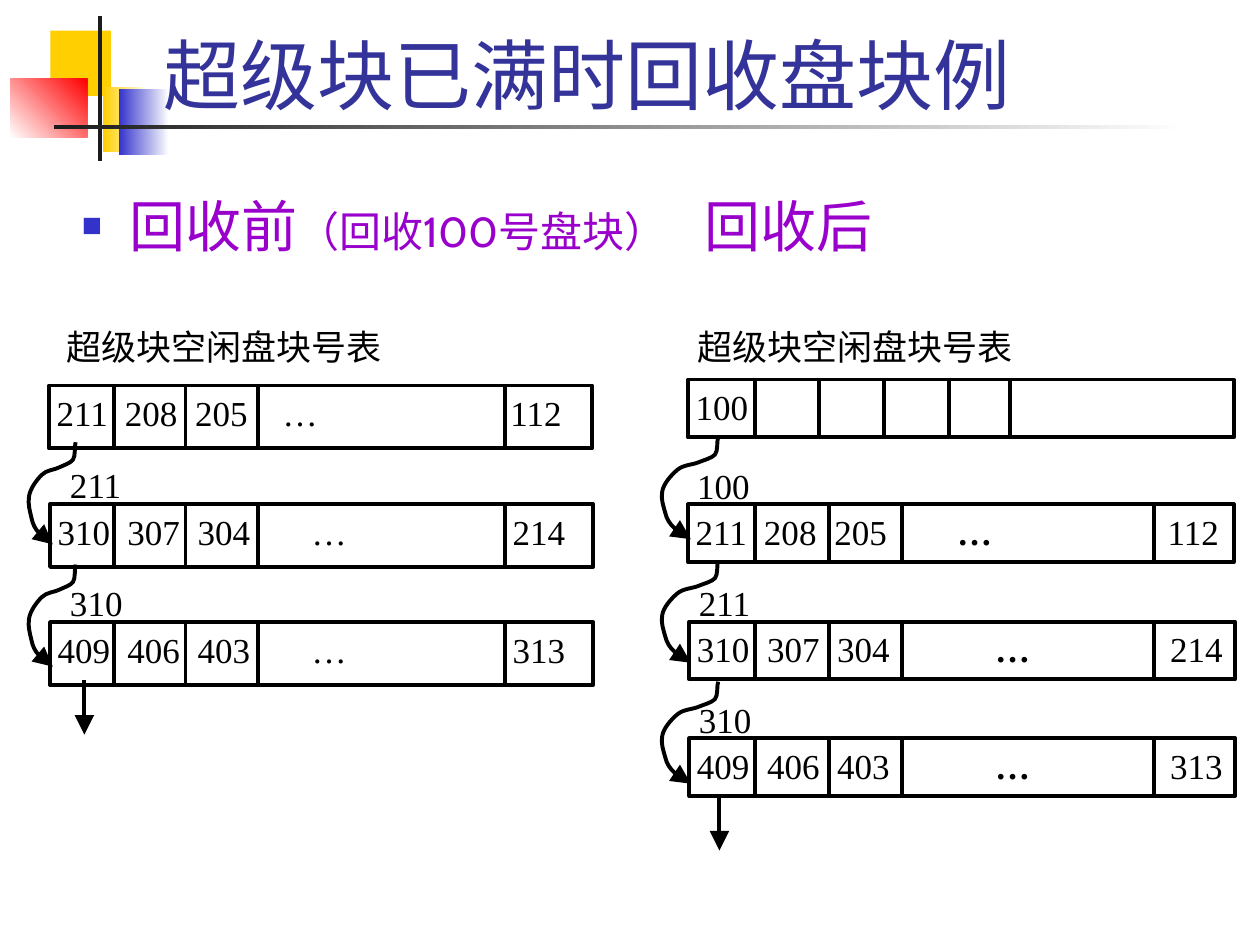
"""Build a slide showing free-block tables before and after a block is reclaimed."""
from dataclasses import dataclass

from lxml import etree
from pptx import Presentation
from pptx.dml.color import RGBColor
from pptx.enum.shapes import MSO_CONNECTOR, MSO_SHAPE
from pptx.enum.text import MSO_ANCHOR, MSO_AUTO_SIZE, PP_ALIGN
from pptx.oxml.ns import qn
from pptx.util import Pt

RECTANGLE = MSO_SHAPE.RECTANGLE
STRAIGHT = MSO_CONNECTOR.STRAIGHT
JUSTIFY = PP_ALIGN.JUSTIFY
LEFT = PP_ALIGN.LEFT
TOP = MSO_ANCHOR.TOP
BOTTOM = MSO_ANCHOR.BOTTOM
NO_AUTOFIT = MSO_AUTO_SIZE.NONE

BLACK = RGBColor(0x00, 0x00, 0x00)
WHITE = RGBColor(0xFF, 0xFF, 0xFF)
YELLOW = RGBColor(0xFF, 0xCF, 0x01)
BLUE = RGBColor(0x33, 0x33, 0xCC)
RED = RGBColor(0xFF, 0x00, 0x00)
CHARCOAL = RGBColor(0x1C, 0x1C, 0x1C)
NAVY = RGBColor(0x33, 0x33, 0x99)
PURPLE = RGBColor(0x99, 0x00, 0xCC)

SERIF = "Times New Roman"
SANS = "Cabin"
LINE_WIDTH = 2.25
ROW_INSET = 4.3
HOOK = (
    (-0.7, 2), (0, 8), (-1.5, 10),
    (-3, 12), (-6.5, 13), (-9.4, 14.4),
    (-12, 15.8), (-16.6, 15.8), (-19.4, 18.7),
    (-22.3, 21.6), (-26, 26.6), (-26.6, 31),
    (-27.4, 35.3), (-26, 39.6), (-25.2, 43.2),
    (-24.5, 46.8), (-23, 49.7), (-20.9, 51.8),
    (-19.4, 54.7), (-14.4, 57.6), (-13, 58.3),
)


@dataclass(frozen=True)
class Decoration:
    left: float
    top: float
    width: float
    height: float
    start: RGBColor
    end: RGBColor | None = None
    angle: float = 0


@dataclass(frozen=True)
class BlockRow:
    left: float
    top: float
    cells: str
    stops: tuple = ()
    dividers: tuple = ()
    width: float = 310.3
    height: float = 36
    bold_dots: bool = False


@dataclass(frozen=True)
class Label:
    left: float
    top: float
    text: str
    width: float = 34


DECORATIONS = (
    Decoration(28.8, 17.5, 34.6, 37.4, YELLOW),
    Decoration(59, 49.7, 26, 37.4, YELLOW, WHITE),
    Decoration(67.8, 51, 28.8, 37.4, BLUE, WHITE),
    Decoration(5.8, 45, 44, 33.5, WHITE, RED, 45),
    Decoration(56, 9.2, 2.3, 82.8, CHARCOAL),
    Decoration(31, 71.4, 648, 2.3, CHARCOAL, WHITE),
)
BEFORE_DIVIDERS = (65.3, 106, 147.6, 288.6)
AFTER_DIVIDERS = (431.3, 473.8, 515.5, 659.5)
BEFORE_STOPS = (72.8, 112.9, 178, 292.9)
AFTER_STOPS = (438.4, 478.4, 568.6, 668.6)
AFTER = {"width": 311.8, "height": 33.1, "bold_dots": True}
ROWS = (
    BlockRow(28, 220.3, "211 208 205 … 112", (71.4, 111.5, 161.5, 291.7), BEFORE_DIVIDERS),
    BlockRow(28.6, 288, "310 307 304 … 214", BEFORE_STOPS, BEFORE_DIVIDERS),
    BlockRow(28.6, 355.5, "409 406 403 … 313", BEFORE_STOPS, BEFORE_DIVIDERS),
    BlockRow(393.2, 216.9, "100", (), (431.3, 468, 505.4, 542.2, 577.4), **AFTER),
    BlockRow(393.2, 288.2, "211 208 205 … 112", (436.6, 476.8, 547, 667.3), AFTER_DIVIDERS, **AFTER),
    BlockRow(394, 355.2, "310 307 304 … 214", AFTER_STOPS, AFTER_DIVIDERS, **AFTER),
    BlockRow(394, 421.8, "409 406 403 … 313", AFTER_STOPS, AFTER_DIVIDERS, **AFTER),
)
LABELS = (
    Label(37.9, 186, "超级块空闲盘块号表", 230),
    Label(398.4, 186, "超级块空闲盘块号表", 230),
    Label(40, 265, "211"),
    Label(40, 332.4, "310"),
    Label(398.4, 265.4, "100"),
    Label(399.4, 332.2, "211"),
    Label(399.4, 399, "310"),
)
HOOKS = (
    (43.2, 252.7, 1), (43.2, 322.6, 1),
    (410.4, 249.8, 1.2), (410.4, 320.4, 1.2), (410.4, 389.5, 1.2),
)
DOWN_ARROWS = ((48.2, 388.8), (411.1, 455))


def add_run(paragraph, text, *, size=20, font=SERIF, color=BLACK, bold=False, spacing=None) -> None:
    run = paragraph.add_run()
    run.text = text
    run.font.size = Pt(size)
    run.font.name = font
    run.font.color.rgb = color
    run.font.bold = bold
    if spacing is not None:
        run.font._element.set("spc", str(round(spacing * 100)))


def place(shape, left: float, top: float, width: float, height: float) -> None:
    shape.left, shape.top, shape.width, shape.height = map(Pt, (left, top, width, height))


def set_margins(frame, horizontal: float, vertical: float) -> None:
    frame.margin_left = frame.margin_right = Pt(horizontal)
    frame.margin_top = frame.margin_bottom = Pt(vertical)


def style_line(shape, arrow: bool = False) -> None:
    shape.line.color.rgb = BLACK
    shape.line.width = Pt(LINE_WIDTH)
    if arrow:
        line = shape.line._get_or_add_ln()
        etree.SubElement(line, qn("a:tailEnd"), type="triangle", w="lg", len="lg")


def add_line(slide, x: float, top: float, bottom: float, arrow: bool = False) -> None:
    connector = slide.shapes.add_connector(STRAIGHT, Pt(x), Pt(top), Pt(x), Pt(bottom))
    style_line(connector, arrow)
    etree.SubElement(connector._element.spPr, qn("a:effectLst"))


def add_rectangle(slide, left: float, top: float, width: float, height: float):
    shape = slide.shapes.add_shape(RECTANGLE, Pt(left), Pt(top), Pt(width), Pt(height))
    shape.shadow.inherit = False
    return shape


def draw_decoration(slide, item: Decoration) -> None:
    shape = add_rectangle(slide, item.left, item.top, item.width, item.height)
    shape.line.fill.background()
    if item.end is None:
        shape.fill.solid()
        shape.fill.fore_color.rgb = item.start
        return
    shape.fill.gradient()
    shape.fill.gradient_angle = item.angle
    for stop, color in zip(shape.fill.gradient_stops, (item.start, item.end)):
        stop.color.rgb = color


def draw_row(slide, row: BlockRow) -> None:
    shape = add_rectangle(slide, row.left, row.top, row.width, row.height)
    shape.fill.solid()
    shape.fill.fore_color.rgb = WHITE
    style_line(shape)
    frame = shape.text_frame
    frame.vertical_anchor = TOP
    set_margins(frame, ROW_INSET, 3.6)
    paragraph = frame.paragraphs[0]
    paragraph.alignment = JUSTIFY
    if row.stops:
        tabs = etree.SubElement(paragraph._p.get_or_add_pPr(), qn("a:tabLst"))
        for stop in row.stops:
            position = Pt(stop - row.left - ROW_INSET)
            etree.SubElement(tabs, qn("a:tab"), pos=str(int(position)), algn="l")
    for index, cell in enumerate(row.cells.split()):
        text = f"\t{cell}" if index else cell
        add_run(paragraph, text, bold=row.bold_dots and cell == "…")
    for x in row.dividers:
        add_line(slide, x, row.top, row.top + row.height)


def draw_label(slide, label: Label) -> None:
    box = slide.shapes.add_textbox(Pt(label.left), Pt(label.top), Pt(label.width), Pt(18))
    frame = box.text_frame
    frame.word_wrap = True
    set_margins(frame, 0, 0)
    frame.paragraphs[0].alignment = JUSTIFY
    add_run(frame.paragraphs[0], label.text)


def draw_hook(slide, x: float, y: float, stretch: float) -> None:
    builder = slide.shapes.build_freeform(Pt(x), Pt(y))
    builder.add_line_segments([(Pt(x + dx * stretch), Pt(y + dy)) for dx, dy in HOOK], close=False)
    shape = builder.convert_to_shape()
    segments = list(shape._element.iter(qn("a:lnTo")))
    outline = segments[0].getparent()
    for first in range(0, len(segments), 3):
        curve = etree.SubElement(outline, qn("a:cubicBezTo"))
        for segment in segments[first:first + 3]:
            curve.append(segment[0])
            outline.remove(segment)
    shape.shadow.inherit = False
    shape.fill.background()
    style_line(shape, arrow=True)


def fill_placeholders(title, body) -> None:
    place(title, 86.4, 12.2, 613.4, 59.8)
    title.text_frame.vertical_anchor = BOTTOM
    place(body, 39.6, 105.8, 612, 48.2)
    for shape in (title, body):
        shape.text_frame.auto_size = NO_AUTOFIT
        shape.text_frame.paragraphs[0].alignment = LEFT
        shape.text_frame.paragraphs[0].space_before = Pt(0)
    add_run(title.text_frame.paragraphs[0], "超级块已满时回收盘块例", size=44, font=SANS, color=NAVY)
    paragraph = body.text_frame.paragraphs[0]
    properties = paragraph._p.get_or_add_pPr()
    properties.set("marL", str(int(Pt(27))))
    properties.set("indent", str(int(Pt(-27))))
    bullet_color = etree.SubElement(properties, qn("a:buClr"))
    etree.SubElement(bullet_color, qn("a:srgbClr"), val=str(BLUE))
    etree.SubElement(properties, qn("a:buSzPct"), val="60000")
    etree.SubElement(properties, qn("a:buChar"), char="■")
    for text, size, spacing in (
        ("回收前", 32, None), ("（回收100号盘块）", 24, None), (" ", 32, 14.5), ("回收后", 32, None),
    ):
        add_run(paragraph, text, size=size, font=SANS, color=PURPLE, spacing=spacing)


def main() -> None:
    presentation = Presentation()
    presentation.slide_width, presentation.slide_height = Pt(720), Pt(540)
    slide = presentation.slides.add_slide(presentation.slide_layouts[1])
    title, body = slide.placeholders
    for decoration in DECORATIONS:
        draw_decoration(slide, decoration)
    for shape in (title, body):
        shape.element.getparent().append(shape.element)
    fill_placeholders(title, body)
    for row in ROWS:
        draw_row(slide, row)
    for label in LABELS:
        draw_label(slide, label)
    for x, y, stretch in HOOKS:
        draw_hook(slide, x, y, stretch)
    for x, y in DOWN_ARROWS:
        add_line(slide, x, y, y + 31, arrow=True)
    presentation.save("out.pptx")


if __name__ == "__main__":
    main()
